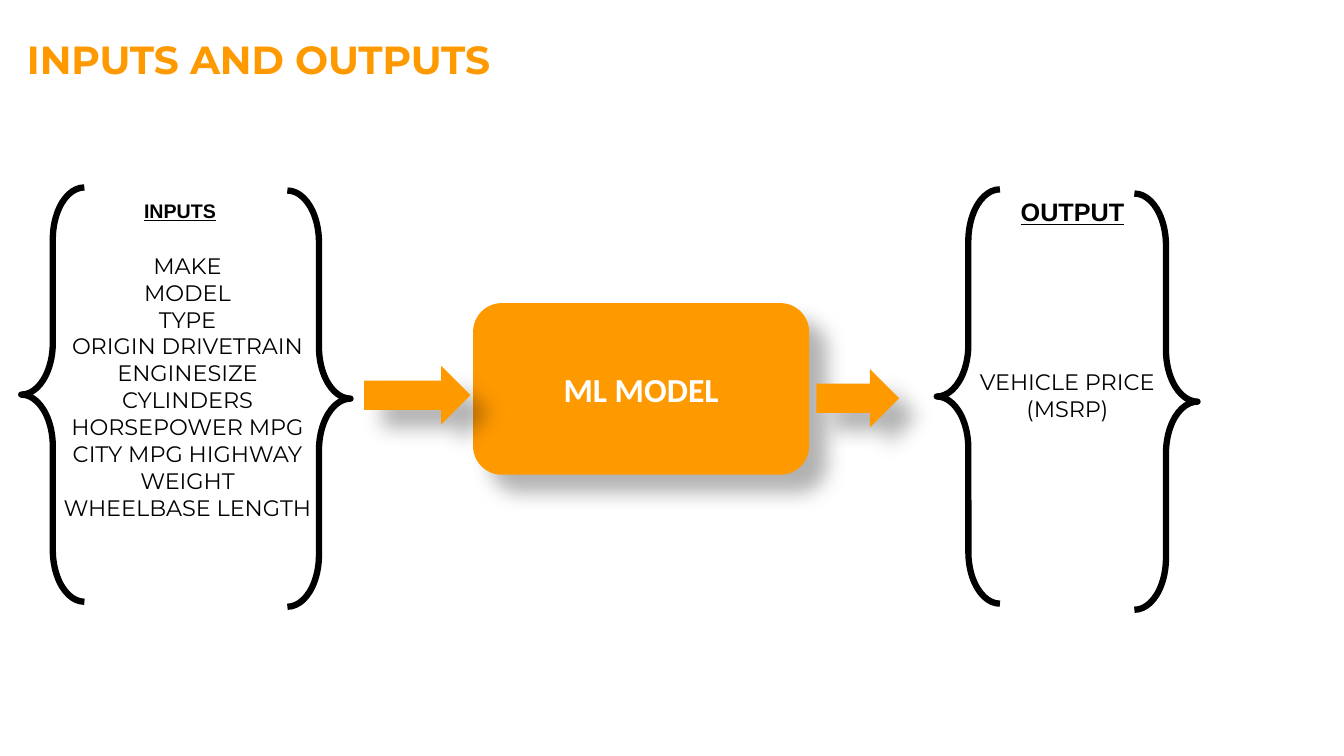
from lxml import etree
from pptx import Presentation
from pptx import util as u
from pptx.dml.color import RGBColor
from pptx.enum import shapes, text
from pptx.oxml.ns import qn

COLORS = {"orange": "FF9900", "black": "000000", "white": "FFFFFF"}
KIND = shapes.MSO_SHAPE

deck = Presentation()
deck.slide_width, deck.slide_height = u.Inches(13.33), u.Inches(7.5)
page = deck.slides.add_slide(deck.slide_layouts[6])


def place(left, top, width, height):
    """Turn percentages of the slide's size into lengths."""
    return [int(deck.slide_width * left / 100), int(deck.slide_height * top / 100),
            int(deck.slide_width * width / 100), int(deck.slide_height * height / 100)]


def write(box, lines, size, font, color, bold=False, underline=False,
          align=text.PP_ALIGN.CENTER):
    frame = box.text_frame
    frame.word_wrap = True
    for i, line in enumerate(lines):
        para = frame.paragraphs[0] if i == 0 else frame.add_paragraph()
        para.alignment = align
        span = para.add_run()
        span.text = line
        span.font.size, span.font.name = u.Pt(size), font
        span.font.bold, span.font.underline = bold, underline
        span.font.color.rgb = RGBColor.from_string(COLORS[color])


# Model block and the arrows into and out of it, each with a soft shadow
flow = [
    (KIND.ROUNDED_RECTANGLE, (35.2, 40.1, 25, 22.7), ["ML MODEL"]),
    (KIND.RIGHT_ARROW, (27.1, 48.4, 7.9, 7.75), []),
    (KIND.RIGHT_ARROW, (60.75, 48.8, 6.15, 7.75), []),
]
for kind, area, label in flow:
    block = page.shapes.add_shape(kind, *place(*area))
    block.fill.solid()
    block.fill.fore_color.rgb = RGBColor.from_string(COLORS["orange"])
    block.line.fill.background()
    block.shadow.inherit = False
    effects = block.element.spPr.find(qn("a:effectLst"))
    shadow = etree.SubElement(effects, qn("a:outerShdw"), blurRad=str(u.Pt(15)),
                              dist=str(u.Pt(18)), dir=str(45 * 60000),
                              algn="tl", rotWithShape="0")
    tint = etree.SubElement(shadow, qn("a:srgbClr"), val=COLORS["black"])
    etree.SubElement(tint, qn("a:alpha"), val="30000")
    block.text_frame.vertical_anchor = text.MSO_ANCHOR.MIDDLE
    write(block, label, 24, "Calibri", "white", bold=True)

# Braces around the inputs and the output; closing ones are turned round
for left, top, height, turn in [(1.58, 24.8, 54.8, 0), (21.38, 25.2, 55.05, 180),
                                (69.7, 25.05, 54.8, 0), (84.4, 25.6, 55.05, 180)]:
    brace = page.shapes.add_shape(KIND.LEFT_BRACE, *place(left, top, 4.7, height))
    brace.adjustments[0], brace.adjustments[1] = 0.82, 0.5
    brace.rotation = turn
    brace.fill.background()
    brace.line.color.rgb = RGBColor.from_string(COLORS["black"])
    brace.line.width = u.Pt(4.5)
    brace.shadow.inherit = False

# Title
title = page.shapes.add_textbox(*place(1.27, 4, 84.9, 7.6))
write(title, ["INPUTS AND OUTPUTS"], 28, "Montserrat", "orange", bold=True,
      align=text.PP_ALIGN.LEFT)

# Headings inside the braces
for area, heading, size in [((8.4, 25.6, 10, 4.5), "INPUTS", 14),
                            ((72.3, 25.33, 15, 5.3), "OUTPUT", 18)]:
    box = page.shapes.add_textbox(*place(*area))
    write(box, [heading], size, "Arial", "black", bold=True, underline=True)

# Features and target
features = ["MAKE", "MODEL", "TYPE", "ORIGIN DRIVETRAIN ENGINESIZE CYLINDERS",
            "HORSEPOWER MPG CITY MPG HIGHWAY WEIGHT", "WHEELBASE LENGTH"]
for area, lines in [((3.6, 32.67, 20.7, 37.2), features),
                    ((70.44, 48.1, 17.95, 8.5), ["VEHICLE PRICE (MSRP)"])]:
    box = page.shapes.add_textbox(*place(*area))
    write(box, lines, 16, "Montserrat", "black")

deck.save("out.pptx")
